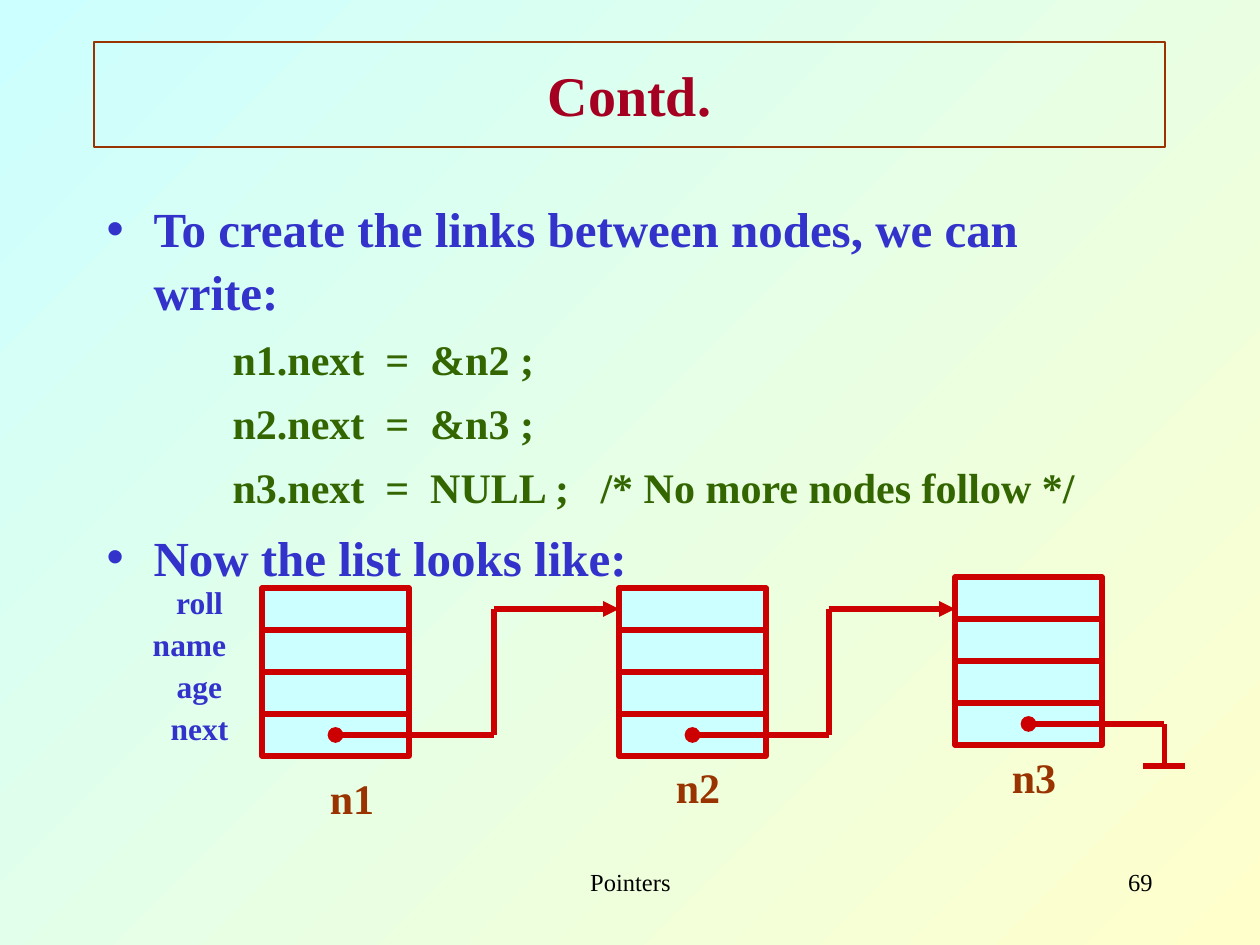
from itertools import pairwise

from lxml.etree import SubElement
from pptx import Presentation
from pptx.dml.color import RGBColor
from pptx.enum.shapes import MSO_CONNECTOR, MSO_SHAPE
from pptx.enum.text import MSO_ANCHOR, MSO_AUTO_SIZE, PP_ALIGN
from pptx.oxml.ns import qn
from pptx.util import Emu, Pt

FONT = "Times New Roman"
COLORS = {
    "sky": "CCFFFF", "cream": "FFFFCC", "title": "A50021", "brown": "993300",
    "blue": "3333CC", "code": "336600", "red": "CC0000", "black": "000000",
}
POINTS = [
    (0, "To create the links between nodes, we can write:"),
    (1, "n1.next  =  &n2 ;"),
    (1, "n2.next  =  &n3 ;"),
    (1, "n3.next  =  NULL ;   /* No more nodes follow */"),
    (0, "Now the list looks like:"),
]
FIELDS = ["roll", "name", "age", "next"]
CELL_W, CELL_H = 147, 42


def px(length):
    """Turn pixels into EMU."""
    return Emu(round(length * 914400 / 126))


def color(name):
    """Look up a palette colour."""
    return RGBColor.from_string(COLORS[name])


def place(shape, box):
    """Move a shape to a box of left, top, width and height."""
    shape.left, shape.top, shape.width, shape.height = map(px, box)


def format_runs(paragraph, size, ink, bold=True):
    """Set the font of every run in a paragraph."""
    for run in paragraph.runs:
        run.font.name, run.font.size, run.font.bold = FONT, Pt(size), bold
        run.font.color.rgb = color(ink)


def add_label(slide, box, text, size, ink, bold=True, align=PP_ALIGN.CENTER):
    """Add one line of text in a box."""
    frame = slide.shapes.add_textbox(*map(px, box)).text_frame
    frame.word_wrap = True
    frame.text = text
    frame.paragraphs[0].alignment = align
    format_runs(frame.paragraphs[0], size, ink, bold)


def fill_title(slide, box, text):
    """Place the framed title."""
    title = slide.shapes.title
    place(title, box)
    title.line.color.rgb = color("brown")
    title.line.width = Pt(0.75)
    frame = title.text_frame
    frame.text = text
    frame.vertical_anchor = MSO_ANCHOR.MIDDLE
    frame.paragraphs[0].alignment = PP_ALIGN.CENTER
    format_runs(frame.paragraphs[0], 32, "title")


def fill_body(slide, box, points):
    """Place the bullets and the indented code lines."""
    body = slide.placeholders[1]
    place(body, box)
    frame = body.text_frame
    frame.text = "\n".join(text for _, text in points)
    frame.auto_size = MSO_AUTO_SIZE.NONE
    for paragraph, (level, _) in zip(frame.paragraphs, points):
        paragraph.level = level
        paragraph.line_spacing = 1.06
        paragraph.space_before = Pt(6 if level else 7)
        format_runs(paragraph, *((24, "code") if level else (28, "blue")))
        properties = paragraph._p.get_or_add_pPr()
        properties.set("marL", str(px(126 if level else 47)))
        properties.set("indent", str(px(0 if level else -47)))
        if level:
            SubElement(properties, qn("a:buNone"))


def add_node(slide, left, top):
    """Stack one cell for each field."""
    for row in range(len(FIELDS)):
        cell = slide.shapes.add_shape(
            MSO_SHAPE.RECTANGLE, px(left), px(top + row * CELL_H), px(CELL_W), px(CELL_H))
        cell.shadow.inherit = False
        cell.fill.solid()
        cell.fill.fore_color.rgb = color("sky")
        cell.line.color.rgb = color("red")
        cell.line.width = Pt(3)


def add_line(group, start, end, head=None, tail=None):
    """Add a red line with optional ends."""
    line = group.shapes.add_connector(MSO_CONNECTOR.STRAIGHT, *map(px, start + end))
    line.line.color.rgb = color("red")
    line.line.width = Pt(3)
    for tag, kind in (("a:headEnd", head), ("a:tailEnd", tail)):
        if kind:
            SubElement(line.line._get_or_add_ln(), qn(tag), type=kind)
    SubElement(line._element.spPr, qn("a:effectLst"))


def add_link(slide, corners, tail=None):
    """Join corners by lines, from a dot to an optional arrowhead."""
    group = slide.shapes.add_group_shape()
    legs = list(pairwise(corners))
    for index, (start, end) in enumerate(legs):
        add_line(group, start, end,
                 head="oval" if index == 0 else None,
                 tail=tail if index == len(legs) - 1 else None)
    return group


def add_linked_list(slide, left, top):
    """Draw the three linked nodes with field and node names."""
    nodes = [(left, top + 11), (left + 357, top + 11), (left + 693, top)]
    for x, y in nodes:
        add_node(slide, x, y)

    dots = [(x + CELL_W / 2, y + 3.5 * CELL_H) for x, y in nodes]
    entry = top + 32
    for (x, y), (target, _), turn in zip(dots, nodes[1:], (left + 232, left + 567)):
        add_link(slide, [(x, y), (turn, y), (turn, entry), (target, entry)], "triangle")

    x, y = dots[-1]
    end, ground = x + 136, y + CELL_H
    null_link = add_link(slide, [(x, y), (end, y), (end, ground)])
    add_line(null_link, (end - 21, ground), (end + 21, ground))

    for index, shift in enumerate((11, 0, 0)):
        add_label(slide, (nodes[index][0] + shift, top + 189 - index * 10.5, 158, 63),
                  f"n{index + 1}", 24, "brown")
    for row, field in enumerate(FIELDS):
        nudge = 10 if field == "name" else 0
        add_label(slide, (left - 157 - nudge, top + row * CELL_H, 189, 50),
                  field, 18, "blue")


def paint_background(slide):
    """Fill the background with a diagonal gradient."""
    fill = slide.background.fill
    fill.gradient()
    fill.gradient_angle = 315
    for stop, name in zip(fill.gradient_stops, ("sky", "cream")):
        stop.color.rgb = color(name)


def main():
    """Build and save the slide."""
    deck = Presentation()
    deck.slide_width, deck.slide_height = px(1260), px(945)
    slide = deck.slides.add_slide(deck.slide_layouts[1])
    paint_background(slide)
    fill_title(slide, (94, 42, 1071, 105), "Contd.")
    fill_body(slide, (94, 189, 1071, 651), POINTS)
    add_linked_list(slide, 262, 577)
    add_label(slide, (431, 861, 399, 63), "Pointers", 14, "black", bold=False)
    add_label(slide, (903, 861, 262, 63), "69", 14, "black", False, PP_ALIGN.RIGHT)
    deck.save("out.pptx")


if __name__ == "__main__":
    main()
